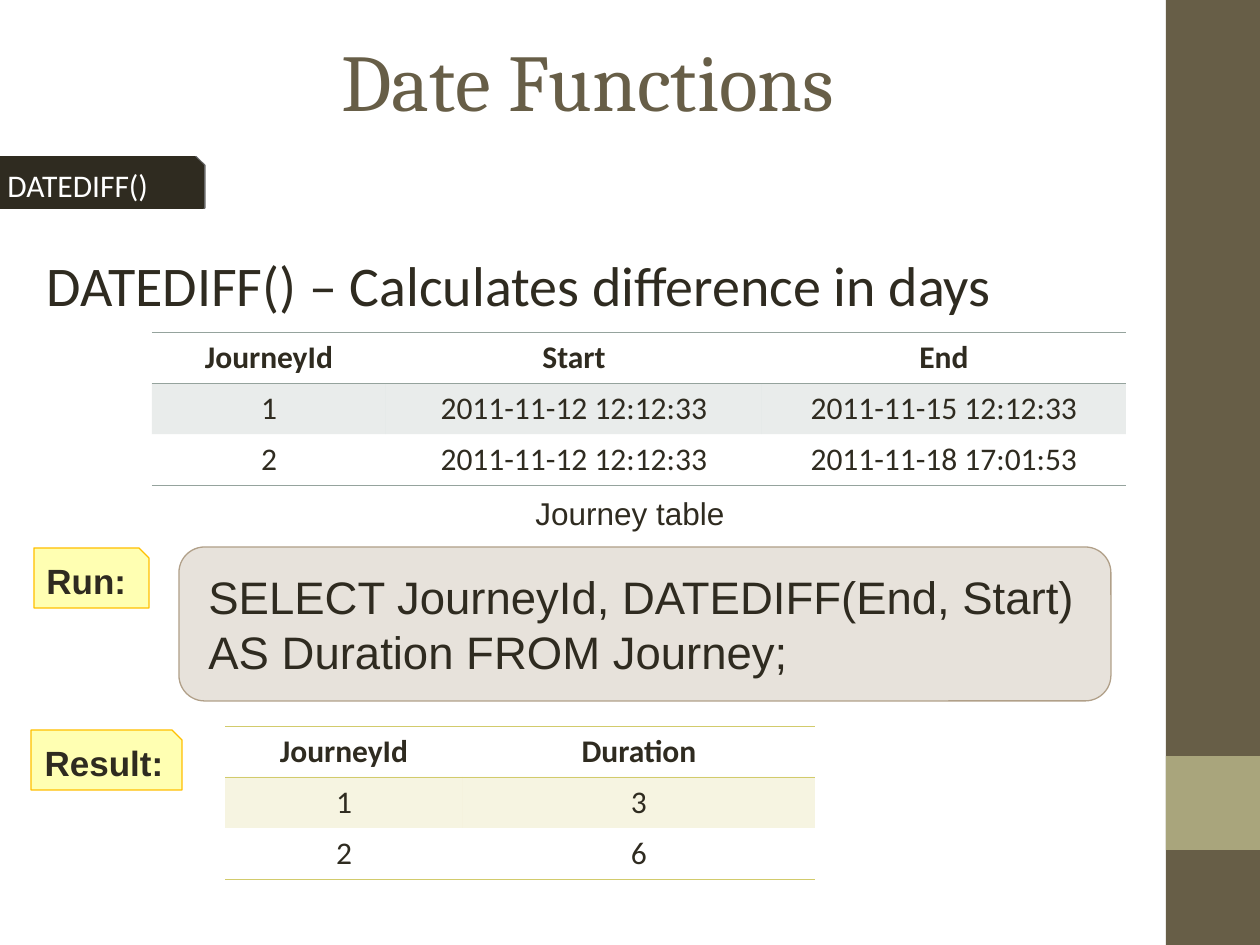
from lxml import etree
from pptx import Presentation, util as u
from pptx.dml.color import RGBColor
from pptx.enum import shapes, text
from pptx.oxml.ns import qn

PX = 914400 // 126
INK, BROWN, SAND = "2F2B20", "675E47", "B1A089"
SNIPPED = shapes.MSO_SHAPE.SNIP_1_RECTANGLE
LEFT, CENTER = text.PP_ALIGN.LEFT, text.PP_ALIGN.CENTER

TITLE = ("Date Functions", (63, 0, 1050, 158))
SIDEBAR = [((1166, 0, 94, 945), BROWN), ((1166, 756, 94, 94), "A9A57C")]
TAG = ("DATEDIFF()", (-5, 157, 208, 51))
LABELS = [
    ("Run:", (34, 548, 115, 60), LEFT),
    ("Result:", (31, 730, 151, 60), CENTER),
]
QUERY = ("SELECT JourneyId, DATEDIFF(End, Start) AS Duration FROM Journey;", (179, 547, 932, 154))
TEXTS = [
    ("DATEDIFF() – Calculates difference in days", (34, 244, 1193, 149), dict(size=32)),
    ("Journey table", (491, 488, 278, 50), dict(size=18, font="Arial", align=CENTER)),
]
TABLES = [
    ((152, 332), (234, 376, 364), "95A39D", [
        ("JourneyId", "Start", "End"),
        ("1", "2011-11-12 12:12:33", "2011-11-15 12:12:33"),
        ("2", "2011-11-12 12:12:33", "2011-11-18 17:01:53"),
    ]),
    ((225, 726), (238, 352), "D2CB6C", [
        ("JourneyId", "Duration"),
        ("1", "3"),
        ("2", "6"),
    ]),
]
ROW_HEIGHT = 51


def px(values):
    return [value * PX for value in values]


def color(hex_string):
    return RGBColor.from_string(hex_string)


def write(frame, words, size=18, font="Calibri", ink=INK, bold=False, align=LEFT):
    paragraph = frame.paragraphs[0]
    paragraph.alignment = align
    run = paragraph.add_run()
    run.text = words
    run.font.size = u.Pt(size)
    run.font.name = font
    run.font.bold = bold
    run.font.color.rgb = color(ink)


def paint(fill, properties, hex_string, opacity=100):
    fill.solid()
    fill.fore_color.rgb = color(hex_string)
    if opacity < 100:
        solid = properties.find(qn("a:solidFill"))
        etree.SubElement(solid[0], qn("a:alpha"), val=str(opacity * 1000))


def add_box(slide, kind, place, fill, opacity=100, line=None, weight=0.75):
    shape = slide.shapes.add_shape(kind, *px(place))
    shape.shadow.inherit = False
    paint(shape.fill, shape.element.spPr, fill, opacity)
    if line:
        shape.line.color.rgb = color(line)
        shape.line.width = u.Pt(weight)
    else:
        shape.line.fill.background()
    shape.text_frame.word_wrap = True
    shape.text_frame.vertical_anchor = text.MSO_ANCHOR.MIDDLE
    return shape


def add_side_shadow(shape):
    effects = shape.element.spPr.find(qn("a:effectLst"))
    shadow = etree.SubElement(effects, qn("a:outerShdw"), dist="12700", dir="0")
    shade = etree.SubElement(shadow, qn("a:srgbClr"), val="000000")
    etree.SubElement(shade, qn("a:alpha"), val="60000")


def set_borders(cell, hex_string, ruled):
    properties = cell._tc.get_or_add_tcPr()
    for index, side in enumerate("LRTB"):
        border = etree.Element(qn("a:ln" + side), w=str(u.Pt(0.45)))
        if side in ruled:
            solid = etree.SubElement(border, qn("a:solidFill"))
            etree.SubElement(solid, qn("a:srgbClr"), val=hex_string)
        else:
            etree.SubElement(border, qn("a:noFill"))
        properties.insert(index, border)


def add_grid(slide, corner, widths, accent, rows):
    place = (*corner, sum(widths), ROW_HEIGHT * len(rows))
    table = slide.shapes.add_table(len(rows), len(widths), *px(place)).table
    table.first_row = table.horz_banding = False
    for column, width in zip(table.columns, px(widths)):
        column.width = width
    for r, row in enumerate(rows):
        ruled = "TB" if r == 0 else "T" if r == 1 else "B"
        for c, words in enumerate(row):
            cell = table.cell(r, c)
            write(cell.text_frame, words, bold=r == 0, align=CENTER)
            if r % 2:
                paint(cell.fill, cell._tc.get_or_add_tcPr(), accent, 20)
            else:
                cell.fill.background()
            set_borders(cell, accent, ruled)


def main():
    presentation = Presentation()
    presentation.slide_width, presentation.slide_height = px((1260, 945))
    slide = presentation.slides.add_slide(presentation.slide_layouts[5])

    for place, fill in SIDEBAR:
        add_box(slide, shapes.MSO_SHAPE.RECTANGLE, place, fill)

    words, place = TITLE
    title = slide.shapes.title
    title.left, title.top, title.width, title.height = px(place)
    title.text_frame.vertical_anchor = text.MSO_ANCHOR.MIDDLE
    write(title.text_frame, words, size=46, font="Cambria", ink=BROWN, align=CENTER)

    words, place = TAG
    tag = add_box(slide, SNIPPED, place, INK, line=INK, weight=1)
    add_side_shadow(tag)
    write(tag.text_frame, words, ink="FFFFFF")

    for words, place, style in TEXTS:
        box = slide.shapes.add_textbox(*px(place))
        box.text_frame.word_wrap = True
        write(box.text_frame, words, **style)

    words, place = QUERY
    query = add_box(slide, shapes.MSO_SHAPE.ROUNDED_RECTANGLE, place, SAND, 30, SAND)
    query.text_frame.margin_left = 22 * PX
    write(query.text_frame, words, size=26, font="Arial")

    for grid in TABLES:
        add_grid(slide, *grid)

    for words, place, align in LABELS:
        label = add_box(slide, SNIPPED, place, "FFFF00", 30, "FFC000")
        write(label.text_frame, words, size=20, font="Arial", bold=True, align=align)

    presentation.save("out.pptx")


if __name__ == "__main__":
    main()
